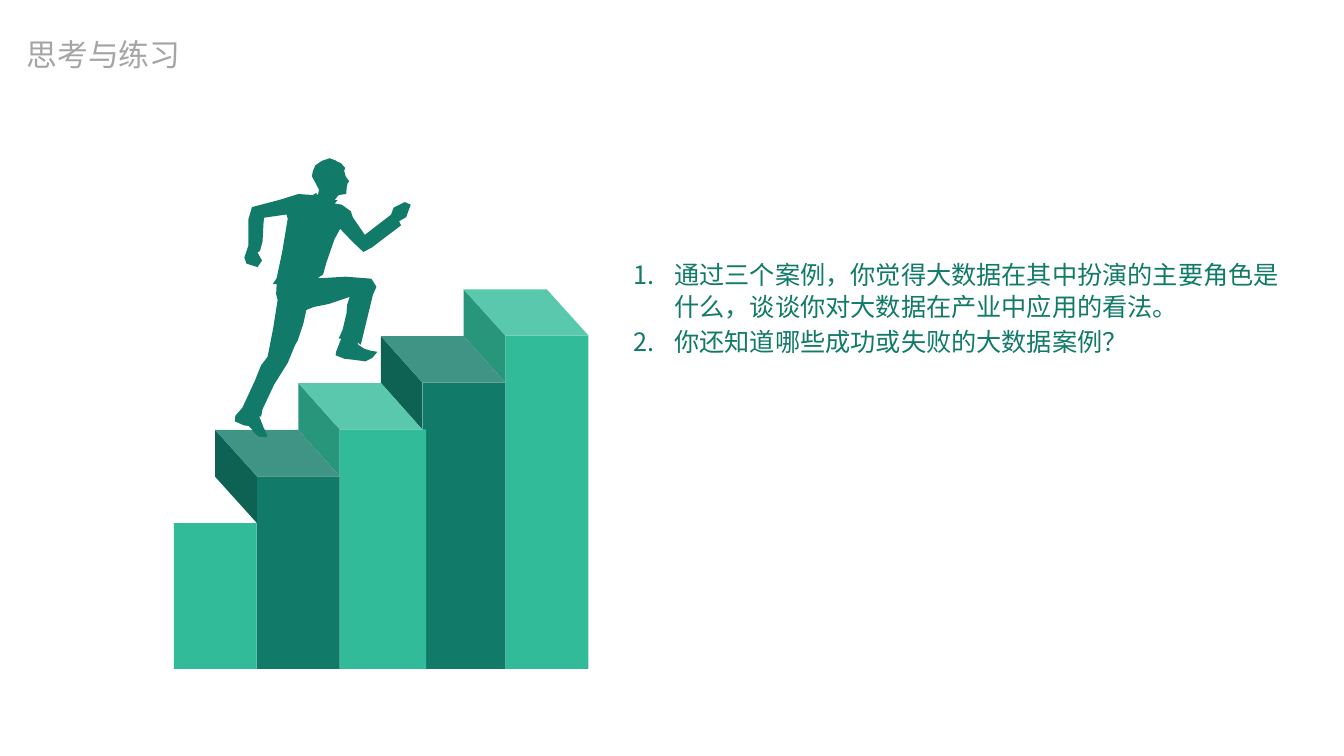
from lxml import etree
from pptx import Presentation, util as u
from pptx.dml.color import RGBColor
from pptx.enum import shapes, text
from pptx.oxml.ns import qn

WIDTH, HEIGHT = u.Inches(26.67), u.Inches(15)
COLUMN, ROW = WIDTH / 100, HEIGHT / 100
UNIT = 9144  # one hundredth of an inch, used for the drawing

STEP_WIDTH, STEP_RISE, STEP_SHIFT = 164.5, 93, 82.5
STAIRS_LEFT, STAIRS_TOP, STAIRS_BOTTOM = 345, 1038, 1327
LIGHT = {"front": "32BB99", "side": "28967B", "top": "5AC8AD"}
DARK = {"front": "117A68", "side": "0E6254", "top": "409486"}
CJK_FONT = "Noto Sans CJK SC"

QUESTIONS = [
    "通过三个案例，你觉得大数据在其中扮演的主要角色是什么，谈谈你对大数据在产业中应用的看法。",
    "你还知道哪些成功或失败的大数据案例？",
]

# Outline of the runner by body part, in hundredths of an inch
RUNNER = {
    "front arm": "803,401 781,412 776,426 724,466 700,431 696,419 678,406 664,404",
    "neck": "670,397 664,397 672,387 687,385 688,372",
    "face": "690,363 693,360 686,350 683,339 685,333 681,329 677,324 670,321 665,318",
    "head": "654,314 639,319 626,328 621,339 619,350 625,361 633,376 631,387",
    "collar": "627,383 621,387 592,385 557,396",
    "back arm": "500,411 493,435 493,487 485,511 489,523 511,530 520,517 511,501 "
                "516,498 521,479 523,442 524,432 538,430 566,426 569,426",
    "back": "571,434 560,500 549,552 541,564 549,563 548,584",
    "back leg": "551,595 542,652 531,708 518,725 506,755 481,809",
    "back foot": "467,825 466,836 484,844 493,845 500,852 506,860 513,866 529,868 "
                 "530,862 523,848 514,825 518,827 521,812",
    "inner leg": "544,763 571,720 585,686 591,675 602,642 608,615 623,609 653,603",
    "front shin": "694,589 689,604 688,616 688,620 680,654 672,672 677,672",
    "front foot": "667,698 666,705 684,712 703,714 725,717 739,710 749,698 736,696 "
                  "723,692 711,684 709,679 716,684",
    "front knee": "740,585 747,569 737,553 686,549 636,552 631,551",
    "chest": "641,545 648,520 664,474 668,467 675,454",
    "front hand": "699,479 721,500 738,491 796,447 792,439 806,431 815,406",
}


def rgb(hex_code):
    return RGBColor.from_string(hex_code)


def paint(shape, colour):
    shape.shadow.inherit = False
    shape.fill.solid()
    shape.fill.fore_color.rgb = rgb(colour)
    shape.line.fill.background()


def add_polygon(page, points, colour):
    builder = page.shapes.build_freeform(*points[0], scale=UNIT)
    builder.add_line_segments(points[1:], close=True)
    paint(builder.convert_to_shape(), colour)


def add_front(page, left, top, width, colour):
    frame = [round(n * UNIT) for n in (left, top, width, STAIRS_BOTTOM - top)]
    paint(page.shapes.add_shape(shapes.MSO_SHAPE.RECTANGLE, *frame), colour)


def add_step(page, index):
    """Draw one step; the lowest has only a front."""
    tones = DARK if index % 2 else LIGHT
    left = STAIRS_LEFT + index * STEP_WIDTH
    top = STAIRS_TOP - index * STEP_RISE
    # The middle front reaches a little over its neighbour
    add_front(page, left, top, STEP_WIDTH + (7 if index == 2 else 0), tones["front"])
    if index == 0:
        return
    back, rear = left - STEP_SHIFT, top - STEP_RISE + 1
    add_polygon(page, [(left, top), (back, rear), (back, rear + STEP_RISE),
                       (left, top + STEP_RISE)], tones["side"])
    add_polygon(page, [(back, rear), (back + STEP_WIDTH, rear),
                       (left + STEP_WIDTH, top), (left, top)], tones["top"])


def add_runner(page):
    pairs = " ".join(RUNNER.values()).split()
    add_polygon(page, [tuple(map(int, pair.split(","))) for pair in pairs], "117A68")


def add_box(page, column, row, columns, rows, **frame_format):
    box = page.shapes.add_textbox(round(column * COLUMN), round(row * ROW),
                                  round(columns * COLUMN), round(rows * ROW))
    for name, value in {"word_wrap": True, **frame_format}.items():
        setattr(box.text_frame, name, value)
    return box.text_frame


def number(para):
    """Give a paragraph an automatic number and a hanging indent."""
    props = para._p.get_or_add_pPr()
    indent = u.Inches(0.81)
    props.set("marL", str(indent))
    props.set("indent", str(-indent))
    etree.SubElement(props, qn("a:buFont")).set("typeface", CJK_FONT)
    etree.SubElement(props, qn("a:buAutoNum")).set("type", "arabicPeriod")


def write(para, words, size, font, colour):
    span = para.add_run()
    span.text = words
    for name, value in {"size": u.Pt(size), "name": font}.items():
        setattr(span.font, name, value)
    span.font.color.rgb = rgb(colour)
    etree.SubElement(span._r.get_or_add_rPr(), qn("a:ea")).set("typeface", CJK_FONT)


def add_title(page, words):
    frame = add_box(page, 1.61, 4.6, 41.17, 5.73,
                    vertical_anchor=text.MSO_ANCHOR.MIDDLE)
    para = frame.paragraphs[0]
    para.line_spacing = 0.9
    write(para, words, 44, CJK_FONT, "A5A5A5")


def add_questions(page, questions):
    margins = dict.fromkeys(
        ("margin_left", "margin_top", "margin_right", "margin_bottom"), 0)
    frame = add_box(page, 47.13, 34.2, 48.29, 12.93, **margins)
    for index, question in enumerate(questions):
        para = frame.add_paragraph() if index else frame.paragraphs[0]
        number(para)
        para.line_spacing = u.Pt(45)
        if index:
            para.space_before = u.Pt(5)
        write(para, question, 36, "Arial", "117A68")


def main():
    deck = Presentation()
    deck.slide_width, deck.slide_height = WIDTH, HEIGHT
    page = deck.slides.add_slide(deck.slide_layouts[6])
    add_title(page, "思考与练习")
    for index in reversed(range(5)):
        add_step(page, index)
    add_runner(page)
    add_questions(page, QUESTIONS)
    deck.save("out.pptx")


if __name__ == "__main__":
    main()
